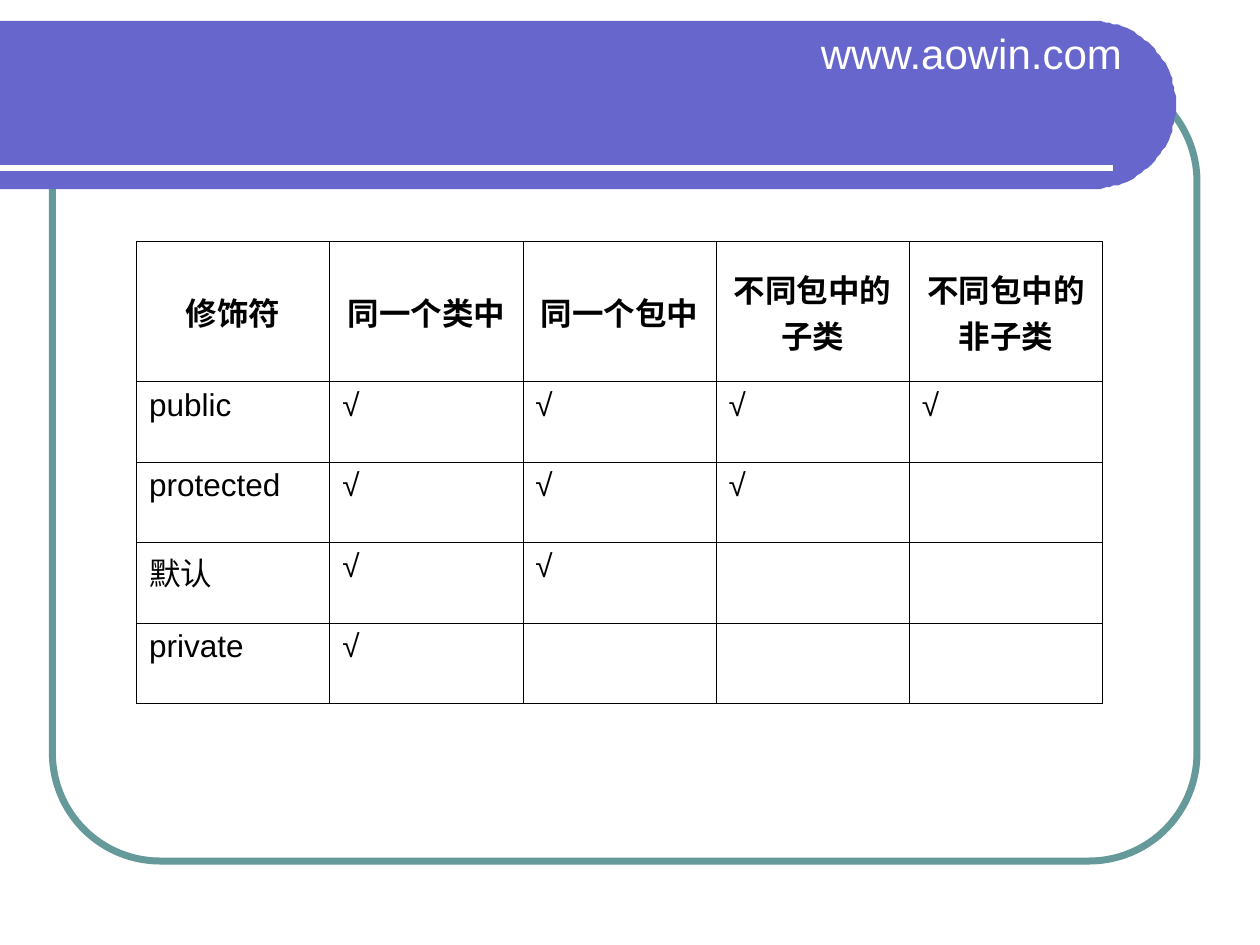
from dataclasses import dataclass
from math import cos, pi, sin

from lxml import etree
from pptx import Presentation
from pptx.dml.color import RGBColor
from pptx.enum.shapes import MSO_CONNECTOR, MSO_SHAPE
from pptx.enum.text import MSO_ANCHOR, PP_ALIGN
from pptx.oxml.ns import qn
from pptx.util import Pt

STRAIGHT = MSO_CONNECTOR.STRAIGHT
ROUNDED = MSO_SHAPE.ROUNDED_RECTANGLE
MIDDLE, TOP = MSO_ANCHOR.MIDDLE, MSO_ANCHOR.TOP
CENTER, LEFT = PP_ALIGN.CENTER, PP_ALIGN.LEFT


@dataclass(frozen=True)
class Theme:
    font: str = "Arial"
    banner: str = "6666CC"
    frame: str = "669999"
    light: str = "FFFFFF"
    ink: str = "000000"
    address_size: int = 24
    table_size: int = 18
    border: float = 0.45


THEME = Theme()
HEADINGS = ["修饰符", "同一个类中", "同一个包中", "不同包中的子类", "不同包中的非子类"]
ACCESS = [("public", 4), ("protected", 3), ("默认", 2), ("private", 1)]


def rgb(color):
    return RGBColor.from_string(color)


def style_paragraph(paragraph, size, color, bold=False, align=LEFT):
    paragraph.alignment = align
    font = paragraph.font
    font.name = THEME.font
    font.size = Pt(size)
    font.bold = bold
    font.color.rgb = rgb(color)


def add_frame(slide, left, top, width, height):
    frame = slide.shapes.add_shape(ROUNDED, Pt(left), Pt(top), Pt(width), Pt(height))
    frame.adjustments[0] = 0.137
    frame.shadow.inherit = False
    frame.fill.background()
    frame.line.color.rgb = rgb(THEME.frame)
    frame.line.width = Pt(4)


def add_banner(slide, top, straight_width, radius, steps=60):
    angles = [-pi / 2 + pi * step / steps for step in range(steps + 1)]
    rounded_end = [
        (straight_width + radius * cos(angle), top + radius + radius * sin(angle))
        for angle in angles
    ]
    builder = slide.shapes.build_freeform(0, top, scale=float(Pt(1)))
    builder.add_line_segments(rounded_end + [(0, top + 2 * radius)], close=True)
    banner = builder.convert_to_shape()
    banner.shadow.inherit = False
    banner.fill.solid()
    banner.fill.fore_color.rgb = rgb(THEME.banner)
    banner.line.fill.background()


def add_rule(slide, right, y):
    rule = slide.shapes.add_connector(STRAIGHT, 0, Pt(y), Pt(right), Pt(y))
    rule.line.color.rgb = rgb(THEME.light)
    rule.line.width = Pt(3)
    etree.SubElement(rule._element.spPr, qn("a:effectLst"))


def add_address(slide, text, left, top, width, height):
    address = slide.shapes.add_textbox(Pt(left), Pt(top), Pt(width), Pt(height))
    address.text_frame.word_wrap = True
    paragraph = address.text_frame.paragraphs[0]
    paragraph.text = text
    style_paragraph(paragraph, THEME.address_size, THEME.light)


def add_borders(cell):
    properties = cell._tc.get_or_add_tcPr()
    for position, side in enumerate(("lnL", "lnR", "lnT", "lnB")):
        border = etree.Element(qn(f"a:{side}"), w=str(Pt(THEME.border)))
        fill = etree.SubElement(border, qn("a:solidFill"))
        etree.SubElement(fill, qn("a:srgbClr"), val=THEME.ink)
        properties.insert(position, border)


def fill_cell(cell, text, heading):
    cell.fill.background()
    cell.vertical_anchor = MIDDLE if heading else TOP
    add_borders(cell)
    paragraph = cell.text_frame.paragraphs[0]
    paragraph.text = text
    style_paragraph(paragraph, THEME.table_size, THEME.ink, heading,
                    CENTER if heading else LEFT)


def add_access_table(slide, left, top, width, heading_height, row_height):
    scopes = len(HEADINGS) - 1
    rows = [HEADINGS] + [
        [modifier] + ["√"] * allowed + [""] * (scopes - allowed)
        for modifier, allowed in ACCESS
    ]
    height = heading_height + row_height * len(ACCESS)
    table = slide.shapes.add_table(
        len(rows), len(HEADINGS), Pt(left), Pt(top), Pt(width), Pt(height)
    ).table
    table.first_row = False
    table.horz_banding = False
    for column in table.columns:
        column.width = Pt(width / len(HEADINGS))
    for r, texts in enumerate(rows):
        table.rows[r].height = Pt(row_height if r else heading_height)
        for c, text in enumerate(texts):
            fill_cell(table.cell(r, c), text, heading=r == 0)


def main():
    presentation = Presentation()
    presentation.slide_width = Pt(720)
    presentation.slide_height = Pt(540)
    slide = presentation.slides.add_slide(presentation.slide_layouts[6])
    add_frame(slide, 30, 42, 654, 450)
    add_banner(slide, top=12, straight_width=624, radius=48)
    add_rule(slide, right=636, y=96)
    add_address(slide, "www.aowin.com", 462, 12, 210, 36)
    add_access_table(slide, 78, 138, 552, heading_height=80, row_height=46)
    presentation.save("out.pptx")


if __name__ == "__main__":
    main()
